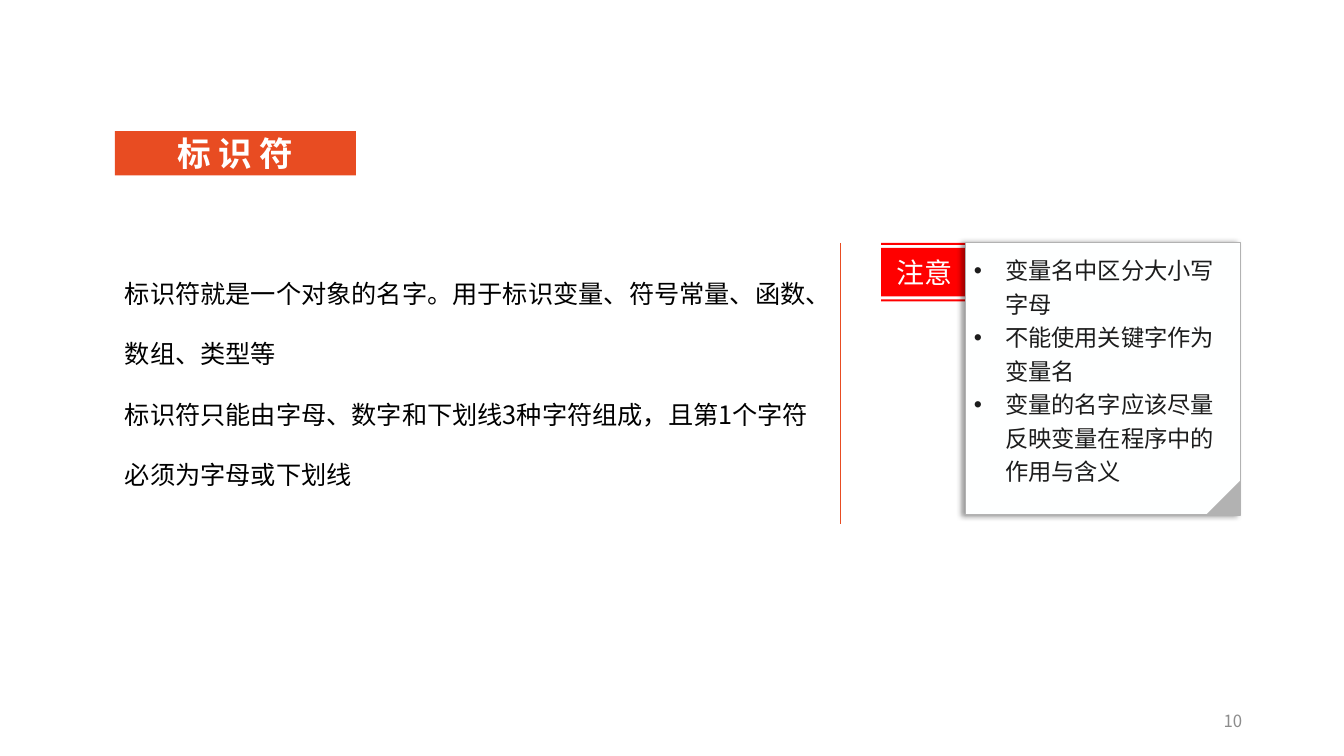
from dataclasses import dataclass

import pptx
import pptx.dml.color
import pptx.enum.shapes
import pptx.enum.text
import pptx.oxml.ns
import pptx.util
from lxml import etree

EMU_PER_PX = 9144  # 100 px to the inch
ALIGN = pptx.enum.text.PP_ALIGN
ANCHOR = pptx.enum.text.MSO_ANCHOR
SHAPE = pptx.enum.shapes.MSO_SHAPE


@dataclass(frozen=True)
class Theme:
    font: str = "Noto Sans CJK SC"
    orange: str = "E84C22"
    red: str = "FF0000"
    paper: str = "FEFFFF"
    white: str = "FFFFFF"
    gray: str = "B2B2B2"
    black: str = "000000"
    ink: str = "1C1C1C"
    muted: str = "8C8C8C"
    title_size: float = 24
    tag_size: float = 20
    body_size: float = 18
    note_size: float = 16.6
    number_size: float = 12


@dataclass(frozen=True)
class Area:
    left: int
    top: int
    width: int
    height: int


@dataclass(frozen=True)
class TextStyle:
    size: float
    color: str
    bold: bool = False
    align: ALIGN = ALIGN.LEFT
    anchor: ANCHOR = ANCHOR.TOP
    spacing: float = 1.0
    indent: int = 0
    inset_x: int = 10
    inset_y: int = 5


THEME = Theme()
TITLE = TextStyle(THEME.title_size, THEME.white, bold=True, align=ALIGN.CENTER,
                  anchor=ANCHOR.MIDDLE, inset_x=0, inset_y=0)
BODY = TextStyle(THEME.body_size, THEME.black, spacing=2.0)
TAG = TextStyle(THEME.tag_size, THEME.paper, align=ALIGN.CENTER, anchor=ANCHOR.MIDDLE)
NOTE = TextStyle(THEME.note_size, THEME.ink, spacing=1.2, indent=31, inset_x=8, inset_y=8)
NUMBER = TextStyle(THEME.number_size, THEME.muted, align=ALIGN.RIGHT, anchor=ANCHOR.MIDDLE)

RULES = [
    "标识符就是一个对象的名字。用于标识变量、符号常量、函数、数组、类型等",
    "标识符只能由字母、数字和下划线3种字符组成，且第1个字符必须为字母或下划线",
]
NOTES = [
    "变量名中区分大小写字母",
    "不能使用关键字作为变量名",
    "变量的名字应该尽量反映变量在程序中的作用与含义",
]
TAG_BANDS = [Area(874, 241, 85, 2), Area(874, 246, 85, 48), Area(874, 297, 85, 2)]


def px(length: int) -> pptx.util.Emu:
    return pptx.util.Emu(length * EMU_PER_PX)


def box_of(area: Area) -> tuple[pptx.util.Emu, ...]:
    return px(area.left), px(area.top), px(area.width), px(area.height)


def rgb(color: str) -> pptx.dml.color.RGBColor:
    return pptx.dml.color.RGBColor.from_string(color)


def add_child(parent, tag: str, **attributes: str):
    return etree.SubElement(parent, pptx.oxml.ns.qn(tag), attributes)


def write(box, lines: list[str], style: TextStyle) -> None:
    frame = box.text_frame
    frame.word_wrap = True
    frame.vertical_anchor = style.anchor
    frame.margin_left = frame.margin_right = px(style.inset_x)
    frame.margin_top = frame.margin_bottom = px(style.inset_y)
    for index, line in enumerate(lines):
        para = frame.add_paragraph() if index else frame.paragraphs[0]
        if style.indent:
            properties = para._p.get_or_add_pPr()
            properties.set("marL", str(px(style.indent)))
            properties.set("indent", str(-px(style.indent)))
            add_child(properties, "a:buFont", typeface="Arial")
            add_child(properties, "a:buChar", char="•")
        para.alignment = style.align
        para.line_spacing = style.spacing
        span = para.add_run()
        span.text = line
        span.font.size = pptx.util.Pt(style.size)
        span.font.bold = style.bold
        span.font.color.rgb = rgb(style.color)
        span.font.name = THEME.font
        add_child(span._r.get_or_add_rPr(), "a:ea", typeface=THEME.font)


def paint(shape, fill: str) -> None:
    """Give a flat fill without outline or shadow."""
    shape.shadow.inherit = False
    shape.fill.solid()
    shape.fill.fore_color.rgb = rgb(fill)
    shape.line.fill.background()


def add_block(page, kind: SHAPE, area: Area, fill: str):
    shape = page.shapes.add_shape(kind, *box_of(area))
    paint(shape, fill)
    return shape


def add_text(page, area: Area, lines: list[str], style: TextStyle):
    box = page.shapes.add_textbox(*box_of(area))
    write(box, lines, style)
    return box


def add_divider(page, x: int, top: int, bottom: int) -> None:
    line = page.shapes.add_connector(
        pptx.enum.shapes.MSO_CONNECTOR.STRAIGHT, px(x), px(top), px(x), px(bottom))
    line.line.color.rgb = rgb(THEME.orange)
    line.line.width = pptx.util.Pt(0.5)
    add_child(line._element.spPr, "a:effectLst")


def add_tag(page, bands: list[Area]) -> None:
    """Draw all bands as one outline, so the label centres on the whole tag."""
    first = bands[0]
    builder = page.shapes.build_freeform(first.left, first.top, scale=EMU_PER_PX)
    for band in bands:
        right, bottom = band.left + band.width, band.top + band.height
        if band is not first:
            builder.move_to(band.left, band.top)
        builder.add_line_segments(
            [(right, band.top), (right, bottom), (band.left, bottom)], close=True)
    tag = builder.convert_to_shape()
    paint(tag, THEME.red)
    write(tag, ["注意"], TAG)


def add_note(page, area: Area, fold: int) -> None:
    """Draw the sheet with its left shadow and a folded lower right corner."""
    sheet = add_block(page, SHAPE.RECTANGLE, area, THEME.paper)
    sheet.line.color.rgb = rgb(THEME.gray)
    sheet.line.width = pptx.util.Pt(0.75)
    effects = sheet._element.spPr.find(pptx.oxml.ns.qn("a:effectLst"))
    shadow = add_child(effects, "a:outerShdw", blurRad=str(pptx.util.Pt(4)),
                       dist=str(pptx.util.Pt(3)), dir="10800000",
                       algn="r", rotWithShape="0")
    add_child(add_child(shadow, "a:srgbClr", val=THEME.black), "a:alpha", val="40000")
    write(sheet, NOTES, NOTE)
    corner = Area(area.left + area.width - fold, area.top + area.height - fold - 1, fold, fold)
    add_block(page, SHAPE.RIGHT_TRIANGLE, corner, THEME.gray).rotation = 270


def main() -> None:
    deck = pptx.Presentation()
    deck.slide_width, deck.slide_height = px(1333), px(750)
    page = deck.slides.add_slide(deck.slide_layouts[6])
    add_divider(page, 833, 241, 520)
    title = add_block(page, SHAPE.RECTANGLE, Area(114, 130, 239, 44), THEME.orange)
    write(title, ["标 识 符"], TITLE)
    body = add_text(page, Area(114, 241, 705, 252), RULES, BODY)
    body.text_frame.auto_size = pptx.enum.text.MSO_AUTO_SIZE.SHAPE_TO_FIT_TEXT
    add_tag(page, TAG_BANDS)
    add_note(page, Area(958, 241, 272, 270), fold=33)
    add_text(page, Area(942, 695, 300, 40), ["10"], NUMBER)
    deck.save("out.pptx")


if __name__ == "__main__":
    main()
